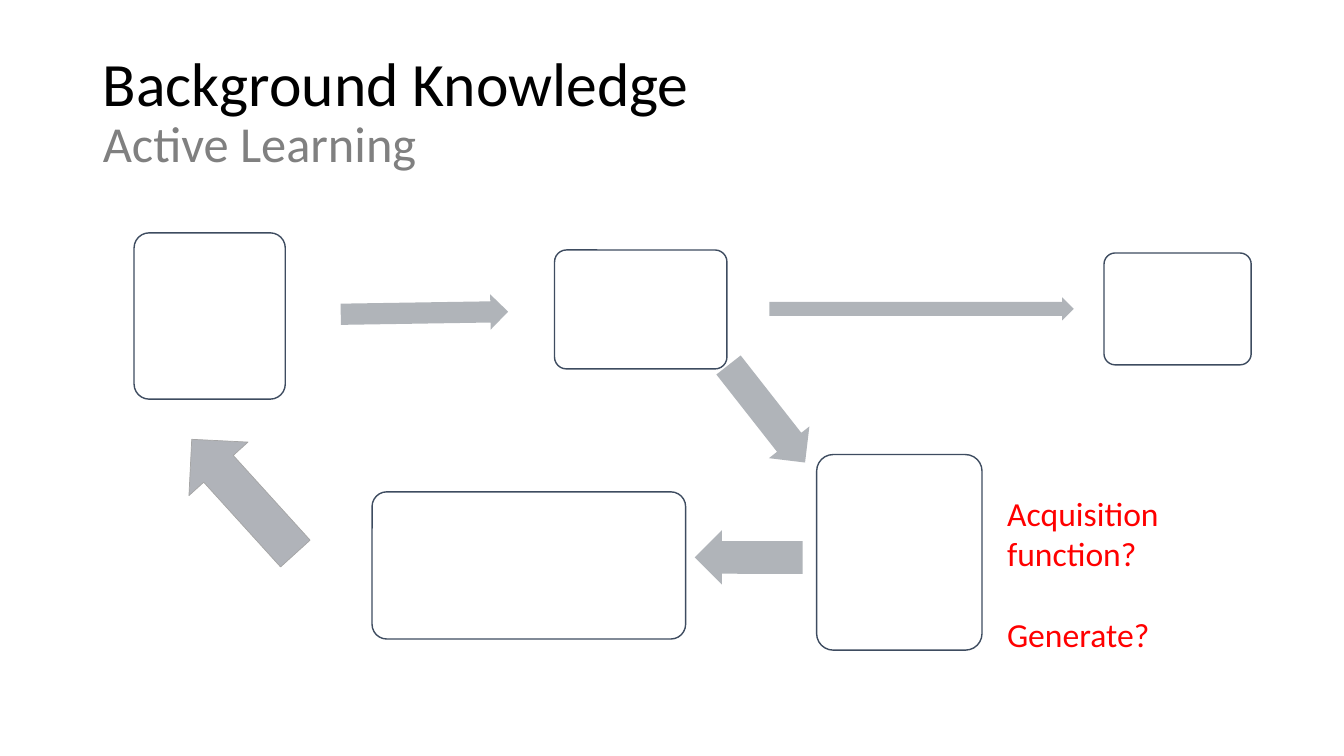
from dataclasses import dataclass

import pptx
import pptx.dml.color
import pptx.enum.shapes
import pptx.enum.text
import pptx.slide
import pptx.text.text
import pptx.util

Kind = pptx.enum.shapes.MSO_SHAPE
Anchor = pptx.enum.text.MSO_ANCHOR
Align = pptx.enum.text.PP_ALIGN
Fit = pptx.enum.text.MSO_AUTO_SIZE
Frame = tuple[float, float, float, float]

# The grid has square cells, one inch wide and high.
COLS, ROWS = 13.33, 7.5


@dataclass(frozen=True)
class Theme:
    font: str = "Calibri"
    title: float = 44
    subtitle: float = 36
    note: float = 24
    gap: float = 29
    black: str = "000000"
    grey: str = "808080"
    red: str = "FF0000"
    white: str = "FFFFFF"
    border: str = "3E4C60"
    arrow: str = "B0B4B9"
    loop: str = "B0B3B9"
    edge: str = "A5A5A5"


THEME = Theme()


@dataclass(frozen=True)
class Node:
    """One part of the cycle: its frame is left, top, columns, rows."""
    frame: Frame
    kind: Kind
    fill: str
    line: str | None = None
    width: float = 1
    turn: float = 0
    adjust: tuple[float, ...] = ()


def step(*frame: float) -> Node:
    return Node(frame, Kind.ROUNDED_RECTANGLE, THEME.white, THEME.border,
                adjust=(0.1,))


def arrow(*frame: float, turn: float = 0) -> Node:
    return Node(frame, Kind.RIGHT_ARROW, THEME.arrow, turn=turn,
                adjust=(0.6, 0.5))


CYCLE = [
    step(1.33, 2.31, 1.5, 1.65),
    arrow(3.38, 2.93, 1.66, 0.35, turn=359.1),
    step(5.5, 2.48, 1.71, 1.18),
    arrow(7.63, 2.95, 3.02, 0.23),
    step(10.95, 2.51, 1.46, 1.11),
    arrow(6.99, 3.85, 1.23, 0.51, turn=51.9),
    step(8.1, 4.51, 1.64, 1.94),
    arrow(6.89, 5.26, 1.07, 0.54, turn=180.1),
    step(3.69, 4.88, 3.11, 1.46),
    Node((2.02, 4.16, 0.79, 1.53), Kind.DOWN_ARROW, THEME.loop, THEME.edge,
         width=0.5, turn=137.8),
]


def place(frame: Frame) -> list[int]:
    return [pptx.util.Inches(cells) for cells in frame]


def tint(code: str) -> pptx.dml.color.RGBColor:
    return pptx.dml.color.RGBColor.from_string(code)


def write(para: pptx.text.text._Paragraph, text: str, *, size: float,
          color: str) -> None:
    run = para.add_run()
    run.text = text
    run.font.name = THEME.font
    run.font.size = pptx.util.Pt(size)
    run.font.color.rgb = tint(color)


def draw(slide: pptx.slide.Slide, node: Node) -> None:
    shape = slide.shapes.add_shape(node.kind, *place(node.frame))
    shape.shadow.inherit = False
    shape.rotation = node.turn
    for index, value in enumerate(node.adjust):
        shape.adjustments[index] = value
    shape.fill.solid()
    shape.fill.fore_color.rgb = tint(node.fill)
    if node.line:
        shape.line.color.rgb = tint(node.line)
        shape.line.width = pptx.util.Pt(node.width)
    else:
        shape.line.fill.background()


def head(slide: pptx.slide.Slide) -> None:
    title = slide.shapes.title
    title.left, title.top, title.width, title.height = place(
        (0.92, 0.4, 11.5, 1.45))
    frame = title.text_frame
    frame.auto_size = Fit.NONE
    frame.vertical_anchor = Anchor.MIDDLE
    para = frame.paragraphs[0]
    para.alignment = Align.LEFT
    para.line_spacing = 0.9
    write(para, "Background Knowledge", size=THEME.title, color=THEME.black)
    para.add_line_break()
    write(para, "Active Learning", size=THEME.subtitle, color=THEME.grey)


def note(slide: pptx.slide.Slide) -> None:
    box = slide.shapes.add_textbox(*place((9.89, 4.84, 2.17, 1.72)))
    frame = box.text_frame
    frame.word_wrap = True
    frame.auto_size = Fit.SHAPE_TO_FIT_TEXT
    first, second = frame.paragraphs[0], frame.add_paragraph()
    second.space_before = pptx.util.Pt(THEME.gap)
    write(first, "Acquisition function?", size=THEME.note, color=THEME.red)
    write(second, "Generate?", size=THEME.note, color=THEME.red)


def main() -> None:
    deck = pptx.Presentation()
    deck.slide_width, deck.slide_height = place((COLS, ROWS))
    slide = deck.slides.add_slide(deck.slide_layouts.get_by_name("Title Only"))
    head(slide)
    for node in CYCLE:
        draw(slide, node)
    note(slide)
    deck.save("out.pptx")


if __name__ == "__main__":
    main()
